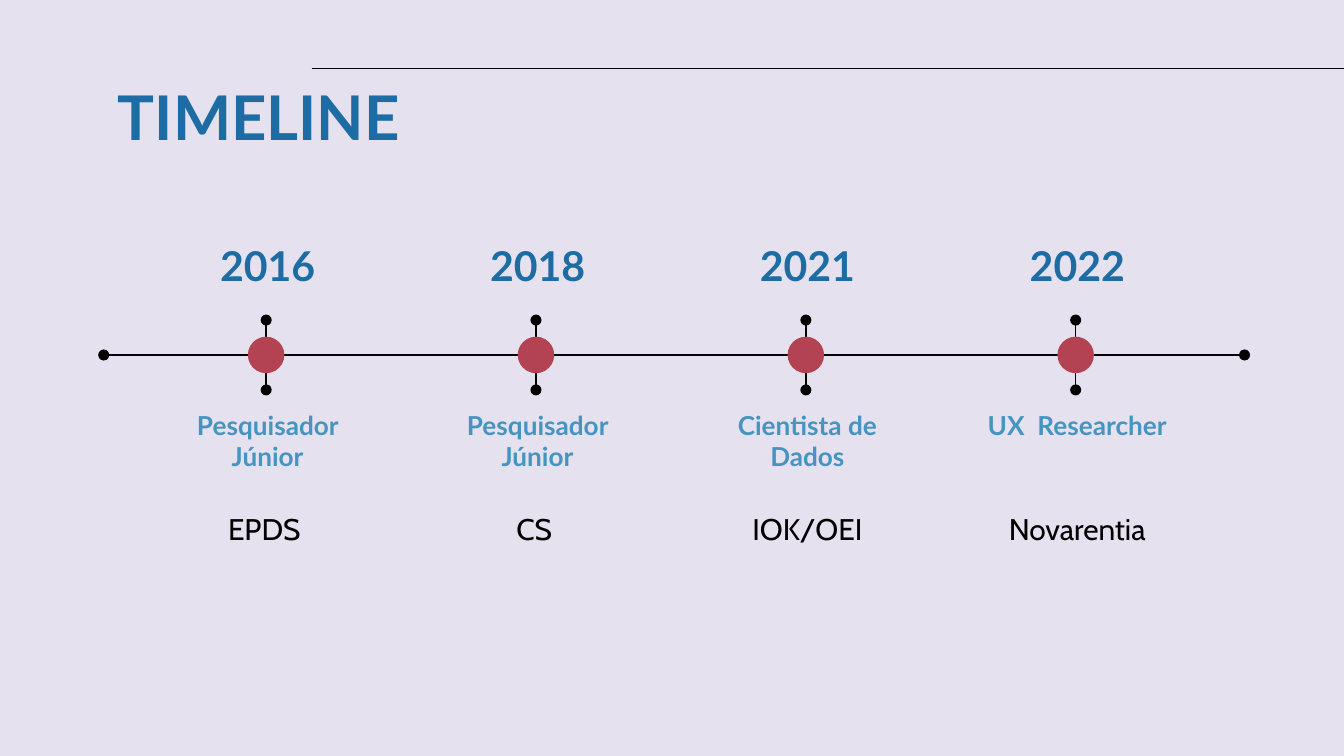
from dataclasses import dataclass

from lxml.etree import SubElement
from pptx import Presentation
from pptx.dml.color import RGBColor
from pptx.enum.shapes import MSO_CONNECTOR, MSO_SHAPE
from pptx.enum.text import MSO_ANCHOR as Anchor, MSO_AUTO_SIZE, PP_ALIGN as Align
from pptx.oxml.ns import qn
from pptx.util import Cm, Pt

BACKGROUND, BLACK = "E5E1EE", "000000"
DARK_BLUE, LIGHT_BLUE, RED = "1D6CA3", "4595C0", "B34353"

SLIDE_WIDTH, SLIDE_HEIGHT = 25.4, 14.29
AXIS_Y = 6.71
FIRST_X, STEP_X = 5.03, 5.1
STEM_REACH = 0.66
DOT_SIZE = 0.69
LABEL_WIDTH = 4.32


@dataclass(frozen=True)
class Milestone:
    year: str
    role: str
    employer: str


@dataclass(frozen=True)
class LabelStyle:
    top: float
    height: float
    size: int
    font: str
    color: str
    bold: bool = True
    anchor: Anchor = Anchor.TOP


MILESTONES = [
    Milestone("2016", "Pesquisador Júnior", "EPDS "),
    Milestone("2018", "Pesquisador Júnior", "CS "),
    Milestone("2021", "Cientista de Dados", "IOK/OEI"),
    Milestone("2022", "UX  Researcher", "Novarentia"),
]
TITLE = LabelStyle(1.24, 1.6, 33, "Lato", DARK_BLUE)
YEAR = LabelStyle(4.29, 1.09, 22, "Lato", DARK_BLUE)
ROLE = LabelStyle(7.49, 1.09, 14, "Lato", LIGHT_BLUE)
EMPLOYER = LabelStyle(8.86, 2.26, 16, "Cabin", BLACK, False, Anchor.MIDDLE)


def rgb(color: str) -> RGBColor:
    return RGBColor.from_string(color)


def write(shape, text: str, style: LabelStyle, align: Align) -> None:
    frame = shape.text_frame
    frame.word_wrap = True
    frame.auto_size = MSO_AUTO_SIZE.NONE
    frame.vertical_anchor = style.anchor
    frame.margin_left = frame.margin_right = Cm(0.25)
    frame.margin_top = frame.margin_bottom = Cm(0.25)
    frame.text = text
    paragraph = frame.paragraphs[0]
    paragraph.alignment = align
    font = paragraph.font
    font.name, font.size, font.bold = style.font, Pt(style.size), style.bold
    font.color.rgb = rgb(style.color)


def add_label(slide, center_x: float, text: str, style: LabelStyle) -> None:
    box = slide.shapes.add_textbox(Cm(center_x - LABEL_WIDTH / 2), Cm(style.top),
                                   Cm(LABEL_WIDTH), Cm(style.height))
    write(box, text, style, Align.CENTER)


def add_line(slide, x1: float, y1: float, x2: float, y2: float,
             oval_ends: bool = True) -> None:
    line = slide.shapes.add_connector(MSO_CONNECTOR.STRAIGHT,
                                      Cm(x1), Cm(y1), Cm(x2), Cm(y2))
    line.line.color.rgb = rgb(BLACK)
    line.line.width = Pt(0.75)
    properties = line.line._get_or_add_ln()
    if oval_ends:
        for end in ("a:headEnd", "a:tailEnd"):
            SubElement(properties, qn(end), type="oval", w="med", len="med")
    SubElement(properties.getparent(), qn("a:effectLst"))


def add_dot(slide, x: float) -> None:
    dot = slide.shapes.add_shape(MSO_SHAPE.OVAL, Cm(x - DOT_SIZE / 2),
                                 Cm(AXIS_Y - DOT_SIZE / 2), Cm(DOT_SIZE), Cm(DOT_SIZE))
    dot.shadow.inherit = False
    dot.fill.solid()
    dot.fill.fore_color.rgb = rgb(RED)
    dot.line.fill.background()


def add_milestone(slide, x: float, milestone: Milestone) -> None:
    add_line(slide, x, AXIS_Y - STEM_REACH, x, AXIS_Y + STEM_REACH)
    add_dot(slide, x)
    label_x = x + 0.03
    add_label(slide, label_x, milestone.year, YEAR)
    add_label(slide, label_x, milestone.role, ROLE)
    add_label(slide, label_x, milestone.employer, EMPLOYER)


def main() -> None:
    deck = Presentation()
    deck.slide_width, deck.slide_height = Cm(SLIDE_WIDTH), Cm(SLIDE_HEIGHT)
    slide = deck.slides.add_slide(deck.slide_layouts.get_by_name("Title Only"))
    slide.background.fill.solid()
    slide.background.fill.fore_color.rgb = rgb(BACKGROUND)

    title = slide.shapes.title
    title.left, title.top = Cm(1.98), Cm(TITLE.top)
    title.width, title.height = Cm(21.44), Cm(TITLE.height)
    write(title, "TIMELINE", TITLE, Align.LEFT)

    add_line(slide, 5.89, 1.29, SLIDE_WIDTH, 1.29, oval_ends=False)
    add_line(slide, 1.96, AXIS_Y, 23.52, AXIS_Y)
    for column, milestone in enumerate(MILESTONES):
        add_milestone(slide, FIRST_X + column * STEP_X, milestone)

    deck.save("out.pptx")


if __name__ == "__main__":
    main()
